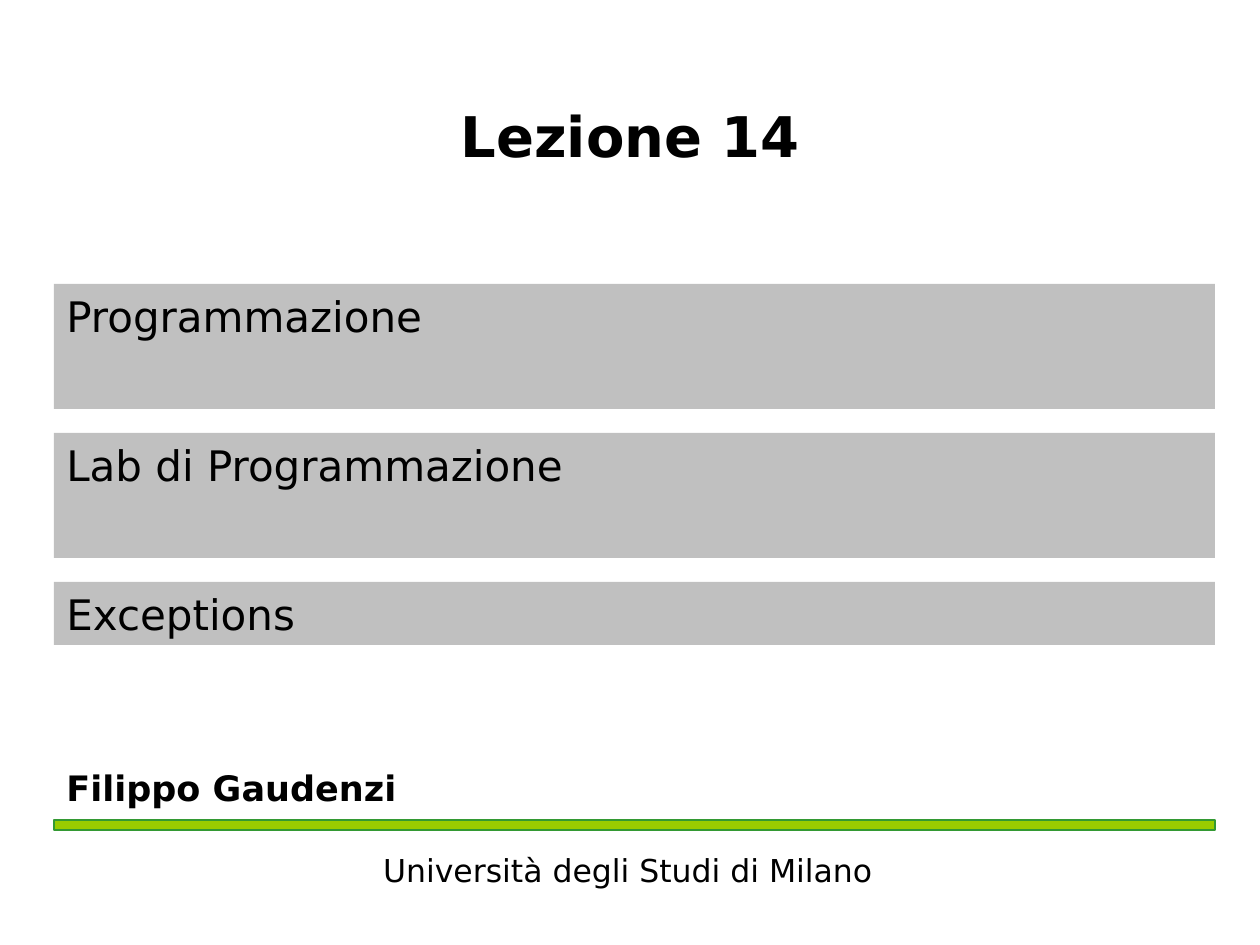
from pptx import Presentation
from pptx.dml.color import RGBColor
from pptx.enum.shapes import MSO_SHAPE as Shape
from pptx.enum.text import MSO_ANCHOR as Anchor, PP_ALIGN as Align
from pptx.util import Emu, Pt

PX = 914400 // 126
BLACK = RGBColor(0x00, 0x00, 0x00)
GREY = RGBColor(0xC0, 0xC0, 0xC0)
LIME = RGBColor(0x99, 0xCC, 0x00)
GREEN = RGBColor(0x33, 0x99, 0x33)


class SlideMaker:
    font = {"name": "DejaVu Sans", "size": Pt(24), "bold": False}

    def __init__(self, slide):
        self.slide = slide

    def label(self, box, text, align=Align.LEFT, anchor=Anchor.TOP,
              wrap=True, before=2, **changes):
        frame = box.text_frame
        frame.word_wrap = wrap
        frame.vertical_anchor = anchor
        para = frame.paragraphs[0]
        para.alignment = align
        para.space_before = Pt(before)
        span = para.add_run()
        span.text = text
        for key, value in {**self.font, **changes}.items():
            setattr(span.font, key, value)
        span.font.color.rgb = BLACK

    def text(self, area, text, **format_values):
        box = self.slide.shapes.add_textbox(*(Emu(n * PX) for n in area))
        self.label(box, text, **format_values)

    def bar(self, area, fill, line=None):
        bar = self.slide.shapes.add_shape(
            Shape.RECTANGLE, *(Emu(n * PX) for n in area))
        bar.shadow.inherit = False
        bar.fill.solid()
        bar.fill.fore_color.rgb = fill
        if line is None:
            bar.line.fill.background()
        else:
            bar.line.color.rgb = line
            bar.line.width = Pt(0.75)
        return bar


deck = Presentation()
deck.slide_width = Emu(1260 * PX)
deck.slide_height = Emu(945 * PX)
page = SlideMaker(deck.slides.add_slide(deck.slide_layouts[6]))

LEFT, WIDTH = 54, 1161

# Title
page.text((49, 97, 1163, 77), "Lezione 14", align=Align.CENTER,
          anchor=Anchor.MIDDLE, before=0, size=Pt(32), bold=True)

# Topic bars, stacked with an equal gap
GAP = 24
top = 284
for topic, height in (("Programmazione", 125),
                      ("Lab di Programmazione", 125),
                      ("Exceptions", 63)):
    page.label(page.bar((LEFT, top, WIDTH, height), GREY), topic)
    top += height + GAP

# Author, rule and university
page.text((LEFT, 760, WIDTH, 54), "Filippo Gaudenzi", size=Pt(20), bold=True)
page.text((368, 845, 520, 50), "Università degli Studi di Milano",
          align=Align.CENTER, wrap=False, size=Pt(18))
page.bar((LEFT, 820, WIDTH, 10), LIME, GREEN)

deck.save("out.pptx")
